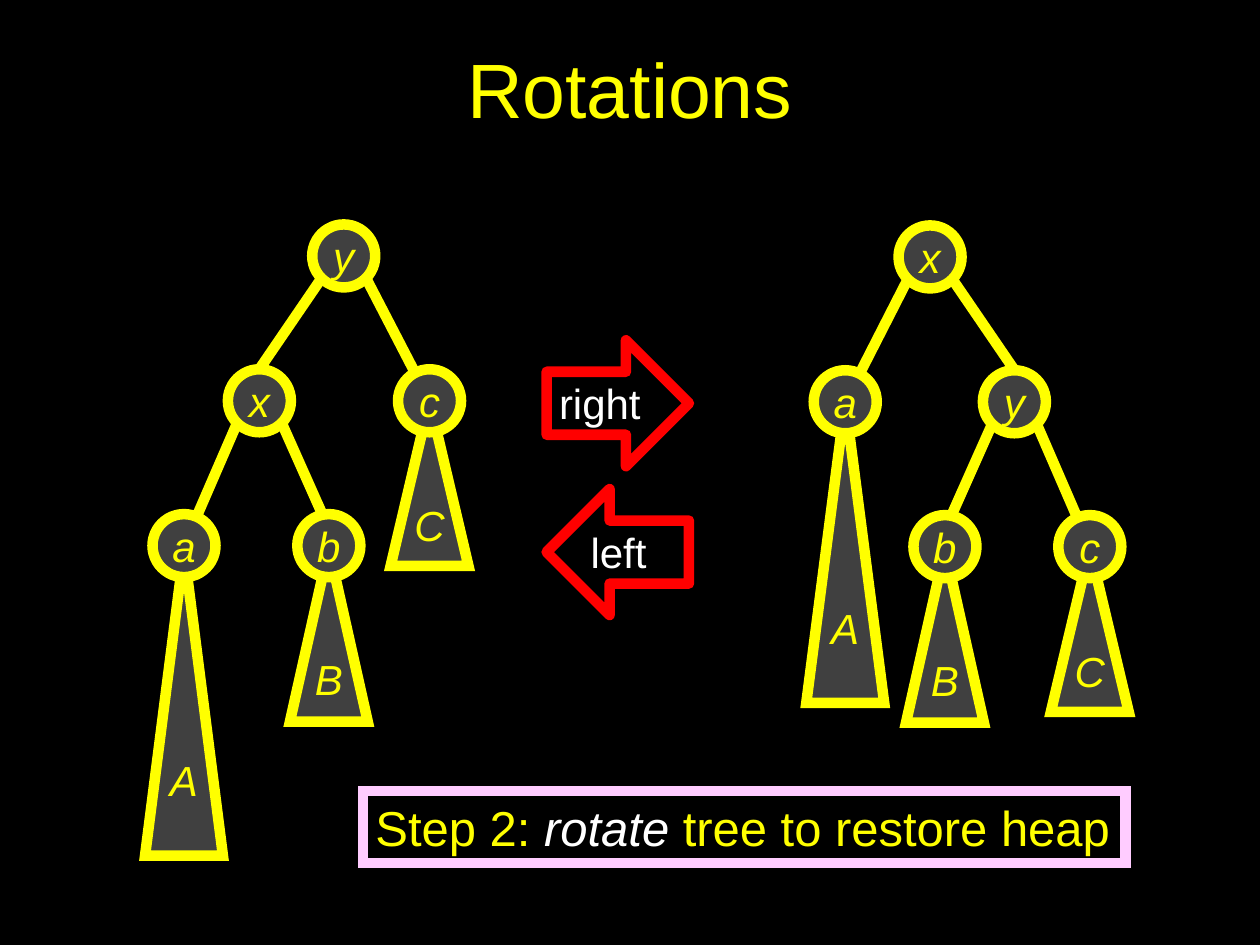
from lxml.etree import SubElement
from pptx import Presentation
from pptx.dml.color import RGBColor
from pptx.enum.shapes import MSO_CONNECTOR, MSO_SHAPE
from pptx.enum.text import MSO_ANCHOR, PP_ALIGN
from pptx.oxml.ns import qn
from pptx.util import Cm, Pt

COLORS = {"back": "000000", "tree": "FFFF00", "node": "404040",
          "arrow": "FF0000", "light": "FFFFFF", "frame": "FFCCFF"}
TITLE = "Rotations"
STEP = [("Step 2: ", "tree", False), ("rotate ", "light", True),
        ("tree to restore heap", "tree", False)]
ARROWS = [("right", MSO_SHAPE.RIGHT_ARROW, 6.86), ("left", MSO_SHAPE.LEFT_ARROW, 9.86)]
TREES = [
    {"nodes": {"y": (6.93, 5.16), "x": (5.23, 8.08), "c": (8.66, 8.08),
               "a": (3.71, 11), "b": (6.63, 11)},
     "edges": [("x", "a", 0, 0), ("x", "b", 0.15, 0),
               ("y", "x", 0, -0.64), ("y", "c", 0, 0)],
     "subtrees": {"a": (0.1, 6.15), "b": (0.05, 3.5), "c": (0, 3.33)}},
    {"nodes": {"x": (18.75, 5.18), "a": (17.04, 8.1), "y": (20.45, 8.1),
               "b": (19.05, 11.02), "c": (21.97, 11.02)},
     "edges": [("y", "c", 0, 0), ("y", "b", -0.15, 0),
               ("x", "y", 0, -0.64), ("x", "a", 0, 0)],
     "subtrees": {"a": (0, 6.07), "b": (0.05, 3.5), "c": (0.03, 3.3)}},
]
NODE_SIZE, SUBTREE_WIDTH, EDGE_START = 1.27, 1.57, 0.45
NO_MARGINS = dict.fromkeys(
    ("margin_left", "margin_top", "margin_right", "margin_bottom"), 0)
TREE_FRAME = {"vertical_anchor": MSO_ANCHOR.MIDDLE, "word_wrap": False}
LABEL_FRAME = {"vertical_anchor": MSO_ANCHOR.TOP, "word_wrap": True}


def color(name):
    return RGBColor.from_string(COLORS[name])


def apply(target, values):
    for name, value in values.items():
        setattr(target, name, value)


def write(paragraph, runs, size, align):
    paragraph.alignment = align
    for text, color_name, italic in runs:
        run = paragraph.add_run()
        run.text = text
        apply(run.font, {"name": "Arial", "size": Pt(size),
                         "italic": italic, "bold": False})
        run.font.color.rgb = color(color_name)


def outline(shape, color_name, join="miter"):
    shape.line.color.rgb = color(color_name)
    shape.line.width = Pt(6)
    SubElement(shape.line._get_or_add_ln(), qn(f"a:{join}"))


def add_shape(slide, kind, box, fill, line, runs, size, align, frame, join="miter"):
    shape = slide.shapes.add_shape(kind, *map(Cm, box))
    shape.shadow.inherit = False
    if fill:
        shape.fill.solid()
        shape.fill.fore_color.rgb = color(fill)
    else:
        shape.fill.background()
    outline(shape, line, join)
    apply(shape.text_frame, frame)
    write(shape.text_frame.paragraphs[0], runs, size, align)


def add_tree_part(slide, kind, box, text, frame):
    add_shape(slide, kind, box, "node", "tree", [(text, "tree", True)],
              24, PP_ALIGN.CENTER, frame)


def add_edge(slide, start, end):
    edge = slide.shapes.add_connector(
        MSO_CONNECTOR.STRAIGHT, *map(Cm, (*start, *end)))
    outline(edge, "tree", "round")
    SubElement(edge._element.spPr, qn("a:effectLst"))


def add_tree(slide, tree):
    nodes = tree["nodes"]
    for name, (drop, height) in tree["subtrees"].items():
        x, y = nodes[name]
        box = (x - SUBTREE_WIDTH / 2, y + drop, SUBTREE_WIDTH, height)
        add_tree_part(slide, MSO_SHAPE.ISOSCELES_TRIANGLE, box, name.upper(), TREE_FRAME)
    for parent, child, shift_x, shift_y in tree["edges"]:
        (x, y), (child_x, child_y) = nodes[parent], nodes[child]
        side = EDGE_START if child_x > x else -EDGE_START
        add_edge(slide, (x + side, y + EDGE_START),
                 (child_x + shift_x, child_y + shift_y))
    for name, (x, y) in nodes.items():
        box = (x - NODE_SIZE / 2, y - NODE_SIZE / 2, NODE_SIZE, NODE_SIZE)
        add_tree_part(slide, MSO_SHAPE.OVAL, box, name, TREE_FRAME | NO_MARGINS)


def main():
    """Build the slide on tree rotations."""
    presentation = Presentation()
    apply(presentation, {"slide_width": Cm(25.4), "slide_height": Cm(19.05)})
    slide = presentation.slides.add_slide(presentation.slide_layouts[5])
    slide.background.fill.solid()
    slide.background.fill.fore_color.rgb = color("back")

    title = slide.shapes.title
    apply(title, {"left": Cm(0), "top": Cm(0.18), "width": Cm(25.4), "height": Cm(3.18)})
    title.text_frame.vertical_anchor = MSO_ANCHOR.MIDDLE
    write(title.text_frame.paragraphs[0], [(TITLE, "tree", False)], 44, PP_ALIGN.CENTER)

    for text, kind, top in ARROWS:
        add_shape(slide, kind, (11.02, top, 2.87, 2.54), None, "arrow",
                  [(text, "light", False)], 24, PP_ALIGN.LEFT, LABEL_FRAME, "round")
    for tree in TREES:
        add_tree(slide, tree)
    add_shape(slide, MSO_SHAPE.RECTANGLE, (7.32, 15.95, 15.37, 1.45), "back", "frame",
              STEP, 28, PP_ALIGN.LEFT, LABEL_FRAME)
    presentation.save("out.pptx")


if __name__ == "__main__":
    main()
